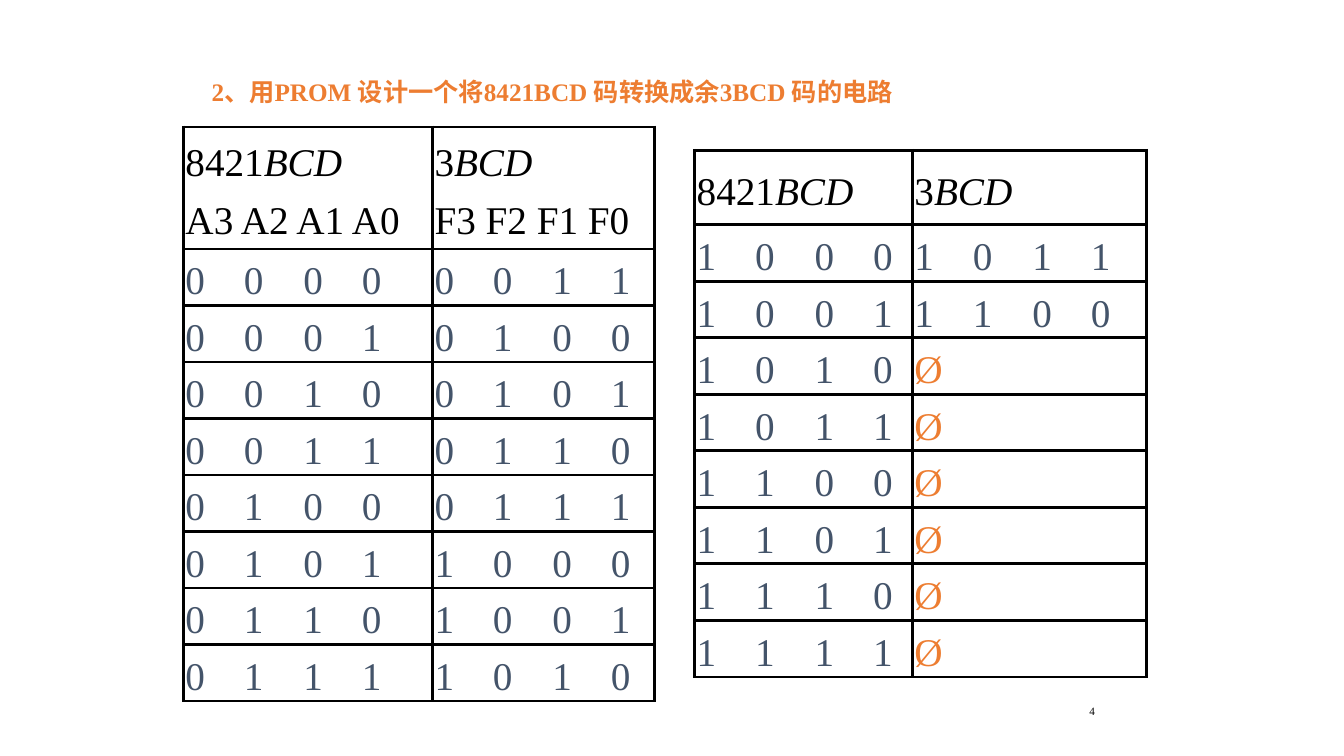
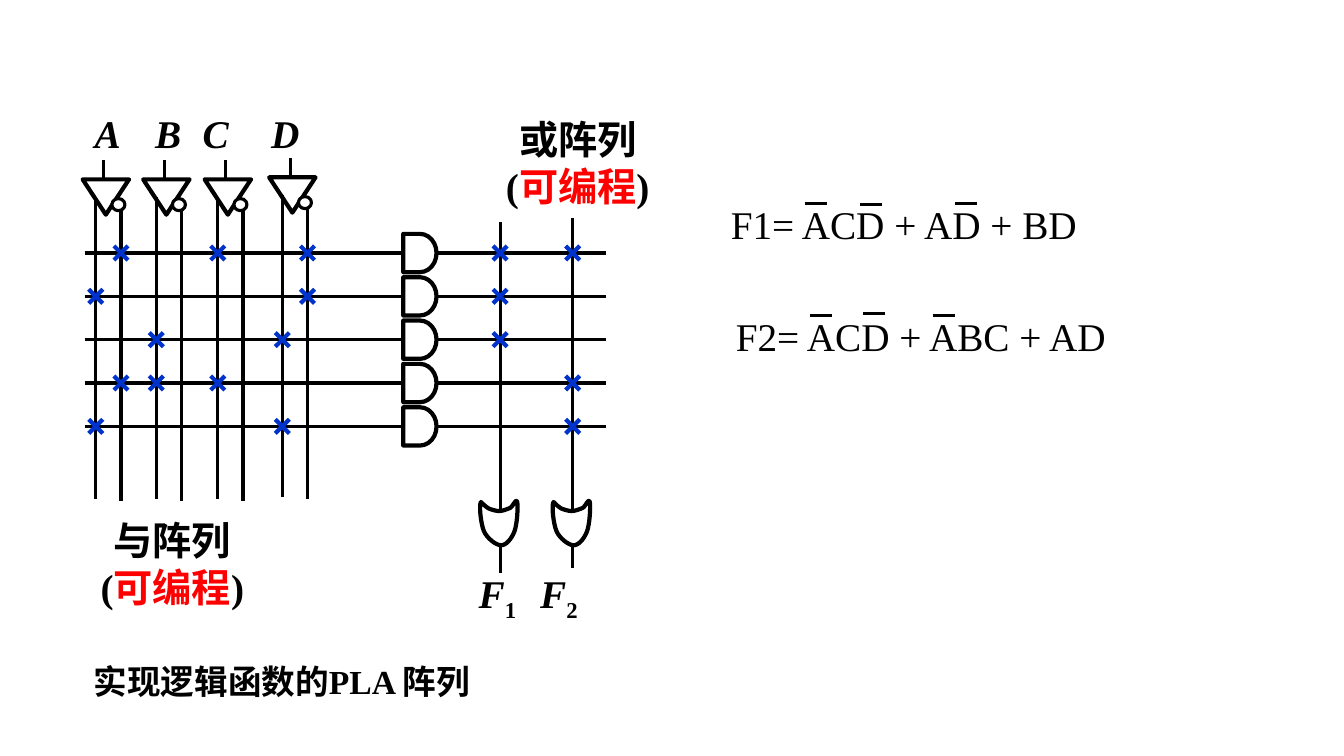
from dataclasses import dataclass
from typing import NamedTuple, Optional

from lxml.etree import SubElement
from pptx import Presentation
from pptx.dml.color import RGBColor
from pptx.enum.shapes import MSO_CONNECTOR as Connector, MSO_SHAPE as Preset
from pptx.enum.text import MSO_ANCHOR as Anchor, PP_ALIGN as Align
from pptx.oxml.ns import qn
from pptx.util import Inches, Pt

BLACK = RGBColor(0x00, 0x00, 0x00)
WHITE = RGBColor(0xFF, 0xFF, 0xFF)
ORANGE = RGBColor(0xED, 0x7D, 0x31)
SLATE = RGBColor(0x44, 0x54, 0x6A)
BLUE = RGBColor(0x00, 0x33, 0xCC)
RED = RGBColor(0xFF, 0x00, 0x00)
FONT = "Times New Roman"
WIRE, OUTLINE = 2.25, 3
DIGIT_TABS = (0.58, 1.17, 1.75)

TERM_LEFT, TERM_RIGHT = 0.84, 6.01
TERM_TOP, TERM_STEP = 2.51, 0.43
CROSS_HALF = 0.07
OR_START = (-0.19, 4.98)
OR_CURVES = (
    ((-0.21, 5.02), (-0.19, 5.2), (-0.16, 5.27)),
    ((-0.13, 5.34), (-0.04, 5.41), (0.01, 5.41)),
    ((0.06, 5.41), (0.11, 5.35), (0.14, 5.28)),
    ((0.17, 5.21), (0.18, 5.02), (0.17, 4.98)),
    ((0.16, 4.94), (0.13, 5.02), (0.1, 5.04)),
    ((0.07, 5.05), (0.03, 5.07), (-0.01, 5.07)),
    ((-0.04, 5.07), (-0.07, 5.06), (-0.1, 5.05)),
    ((-0.13, 5.04), (-0.17, 5), (-0.19, 4.98)),
)


class Span(NamedTuple):
    text: str
    color: Optional[RGBColor] = None
    italic: bool = False
    baseline: int = 0


@dataclass(frozen=True)
class TruthTable:
    left: float
    top: float
    widths: tuple[float, float]
    header_height: float
    codes: range
    names: tuple[str, str] = ("", "")


@dataclass(frozen=True)
class InputBuffer:
    name: str
    left: float
    top: float = 1.78


@dataclass(frozen=True)
class Output:
    name: str
    x: float
    top: float


@dataclass(frozen=True)
class Formula:
    text: str
    left: float
    top: float
    bars: tuple[tuple[float, float], ...]


TABLES = (
    TruthTable(1.82, 1.26, (2.47, 2.2), 1.21, range(8), ("A3 A2 A1 A0", "F3 F2 F1 F0")),
    TruthTable(6.89, 1.49, (2.16, 2.32), 0.74, range(8, 16)),
)
INPUTS = (
    InputBuffer("A", 0.82),
    InputBuffer("B", 1.42),
    InputBuffer("C", 2.03),
    InputBuffer("D", 2.67, 1.76),
)
OUTPUTS = (Output("F1", 4.96, 2.2), Output("F2", 5.68, 2.16))
TERMS = (
    ("A'", "C", "D'", "F1", "F2"),
    ("A", "D'", "F1"),
    ("B", "D", "F1"),
    ("A'", "B", "C", "F2"),
    ("A", "D", "F2"),
)
FORMULAS = (
    Formula("F1= ACD + AD + BD", 7.15, 1.94, ((7.98, 2.02), (8.53, 2.03), (9.47, 2.02))),
    Formula("F2= ACD + ABC + AD", 7.2, 3.05, ((8.03, 3.13), (8.56, 3.11), (9.25, 3.13))),
)


def write(frame, *lines: list[Span], size: float = 28, color: RGBColor = BLACK,
          bold: bool = False, align=Align.LEFT, anchor=Anchor.TOP,
          spacing: float = 1.0, gap: float = 0, tabs: tuple[float, ...] = ()) -> None:
    frame.word_wrap = True
    frame.vertical_anchor = anchor
    for index, spans in enumerate(lines):
        para = frame.add_paragraph() if index else frame.paragraphs[0]
        if tabs:
            stops = SubElement(para._p.get_or_add_pPr(), qn("a:tabLst"))
            for tab in tabs:
                SubElement(stops, qn("a:tab"), pos=str(Inches(tab)), algn="l")
        para.alignment = align
        para.line_spacing = spacing
        if index and gap:
            para.space_before = Pt(gap)
        for span in spans:
            run = para.add_run()
            run.text = span.text
            font = run.font
            font.name, font.size, font.bold = FONT, Pt(size), bold
            font.italic = span.italic
            font.color.rgb = span.color or color
            if span.baseline:
                run._r.get_or_add_rPr().set("baseline", str(span.baseline * 1000))


def add_text(page, left: float, top: float, width: float, height: float,
             *lines: list[Span], **style) -> None:
    box = page.shapes.add_textbox(Inches(left), Inches(top), Inches(width), Inches(height))
    write(box.text_frame, *lines, **style)


def add_line(page, x1: float, y1: float, x2: float, y2: float,
             color: RGBColor = BLACK, width: float = WIRE) -> None:
    line = page.shapes.add_connector(
        Connector.STRAIGHT, Inches(x1), Inches(y1), Inches(x2), Inches(y2))
    line.line.color.rgb = color
    line.line.width = Pt(width)
    SubElement(line._element.spPr, qn("a:effectLst"))


def paint(shape, width: float) -> None:
    shape.shadow.inherit = False
    shape.fill.solid()
    shape.fill.fore_color.rgb = WHITE
    shape.line.color.rgb = BLACK
    shape.line.width = Pt(width)


def add_preset(page, kind, left: float, top: float, width: float, height: float,
               outline: float = OUTLINE):
    shape = page.shapes.add_shape(
        kind, Inches(left), Inches(top), Inches(width), Inches(height))
    paint(shape, outline)
    return shape


def add_cross(page, x: float, y: float) -> None:
    for rise in (-CROSS_HALF, CROSS_HALF):
        add_line(page, x - CROSS_HALF, y + rise, x + CROSS_HALF, y - rise, BLUE, OUTLINE)


def add_or_gate(page, x: float, steps: int = 8) -> None:
    points = []
    start = OR_START
    for first, second, end in OR_CURVES:
        for step in range(1, steps + 1):
            t = step / steps
            points.append(tuple(
                a * (1 - t) ** 3 + 3 * b * t * (1 - t) ** 2 + 3 * c * t * t * (1 - t) + d * t ** 3
                for a, b, c, d in zip(start, first, second, end)))
        start = end
    builder = page.shapes.build_freeform(Inches(x + OR_START[0]), Inches(OR_START[1]))
    builder.add_line_segments([(Inches(x + dx), Inches(y)) for dx, y in points], close=True)
    paint(builder.convert_to_shape(), OUTLINE)


def add_buffer(page, item: InputBuffer) -> dict[str, float]:
    left, top = item.left, item.top
    true_x, negated_x = left + 0.13, left + 0.38
    add_line(page, left + 0.21, top - 0.19, left + 0.21, top + 0.17)
    triangle = add_preset(page, Preset.ISOSCELES_TRIANGLE, left, top, 0.46, 0.35)
    triangle._element.spPr.get_or_add_xfrm().set("flipV", "1")
    add_line(page, true_x, top + 0.17, true_x, top + 3.17)
    add_line(page, negated_x, top + 0.19, negated_x, top + 3.19)
    add_preset(page, Preset.OVAL, left + 0.29, top + 0.19, 0.13, 0.12, WIRE)
    return {item.name: true_x, item.name + "'": negated_x}


def fill_cell(cell, *lines: list[Span], color: RGBColor) -> None:
    cell.margin_left = cell.margin_right = Inches(0.02)
    cell.margin_top = cell.margin_bottom = 0
    cell.vertical_anchor = Anchor.MIDDLE
    write(cell.text_frame, *lines, color=color, anchor=None, spacing=1.2,
          gap=4, tabs=DIGIT_TABS)
    properties = cell._tc.get_or_add_tcPr()
    for edge in ("a:lnL", "a:lnR", "a:lnT", "a:lnB"):
        border = SubElement(properties, qn(edge), w=str(Pt(WIRE)))
        fill = SubElement(border, qn("a:solidFill"))
        SubElement(fill, qn("a:srgbClr"), val=str(BLACK))
    cell.fill.background()


def digits(value: int) -> list[Span]:
    return [Span("\t".join(f"{value:04b}"))]


def add_truth_table(page, item: TruthTable, row_height: float = 0.56) -> None:
    rows = len(item.codes) + 1
    height = item.header_height + row_height * (rows - 1)
    table = page.shapes.add_table(
        rows, 2, Inches(item.left), Inches(item.top),
        Inches(sum(item.widths)), Inches(height)).table
    table.first_row = table.horz_banding = False
    for column, width in zip(table.columns, item.widths):
        column.width = Inches(width)
    for index, row in enumerate(table.rows):
        row.height = Inches(row_height if index else item.header_height)
    for column, (prefix, names) in enumerate(zip(("8421", "3"), item.names)):
        lines = [[Span(prefix), Span("BCD", italic=True)]]
        if names:
            lines.append([Span(names)])
        fill_cell(table.cell(0, column), *lines, color=BLACK)
    for row, code in enumerate(item.codes, 1):
        fill_cell(table.cell(row, 0), digits(code), color=SLATE)
        valid = code < 10
        fill_cell(table.cell(row, 1), digits(code + 3) if valid else [Span("Ø")],
                  color=SLATE if valid else ORANGE)


def build_conversion_page(page) -> None:
    add_text(page, 10.1, 6.85, 0.86, 0.4, [Span("4")], size=8,
             align=Align.RIGHT, anchor=Anchor.MIDDLE)
    add_text(page, 2, 0.62, 9.2, 0.49,
             [Span("2、用PROM 设计一个将8421BCD 码转换成余3BCD 码的电路")],
             size=18, color=ORANGE, bold=True, spacing=1.3)
    for item in TABLES:
        add_truth_table(page, item)


def build_array_page(page) -> None:
    for formula in FORMULAS:
        add_text(page, formula.left, formula.top, 4.28, 0.57, [Span(formula.text)])
        for x, y in formula.bars:
            add_line(page, x, y, x + 0.22, y)

    term_ys = [TERM_TOP + TERM_STEP * index for index in range(len(TERMS))]
    for y in term_ys:
        add_line(page, TERM_LEFT, y, TERM_RIGHT, y)
        add_preset(page, Preset.FLOWCHART_DELAY, 4, y - 0.19, 0.33, 0.38)

    columns: dict[str, float] = {}
    for item in INPUTS:
        columns.update(add_buffer(page, item))
    for output in OUTPUTS:
        columns[output.name] = output.x
        add_line(page, output.x, output.top, output.x, output.top + 3.48)
        add_or_gate(page, output.x)
    for y, names in zip(term_ys, TERMS):
        for name in names:
            add_cross(page, columns[name], y)

    add_text(page, 0.84, 1.04, 2.58, 0.57,
             [Span("\t".join(item.name for item in INPUTS), italic=True)],
             bold=True, tabs=(0.6, 1.07, 1.75))
    add_text(page, 4.65, 5.6, 2.2, 0.57,
             [Span("F", italic=True), Span("1", baseline=-25),
              Span("\tF", italic=True), Span("2", baseline=-25)],
             bold=True, tabs=(0.61,))
    for title, left, top in (("与阵列", 0.67, 5.07), ("或阵列", 4.69, 1.09)):
        add_text(page, left, top, 2.08, 1.03, [Span(title)],
                 [Span("("), Span("可编程", RED), Span(")")],
                 bold=True, align=Align.CENTER)
    add_text(page, 0.83, 6.51, 4.51, 0.5, [Span("实现逻辑函数的PLA 阵列")],
             size=24, bold=True)


def main() -> None:
    deck = Presentation()
    deck.slide_width, deck.slide_height = Inches(13.33), Inches(7.5)
    for build in (build_conversion_page, build_array_page):
        build(deck.slides.add_slide(deck.slide_layouts[6]))
    deck.save("out.pptx")


if __name__ == "__main__":
    main()
